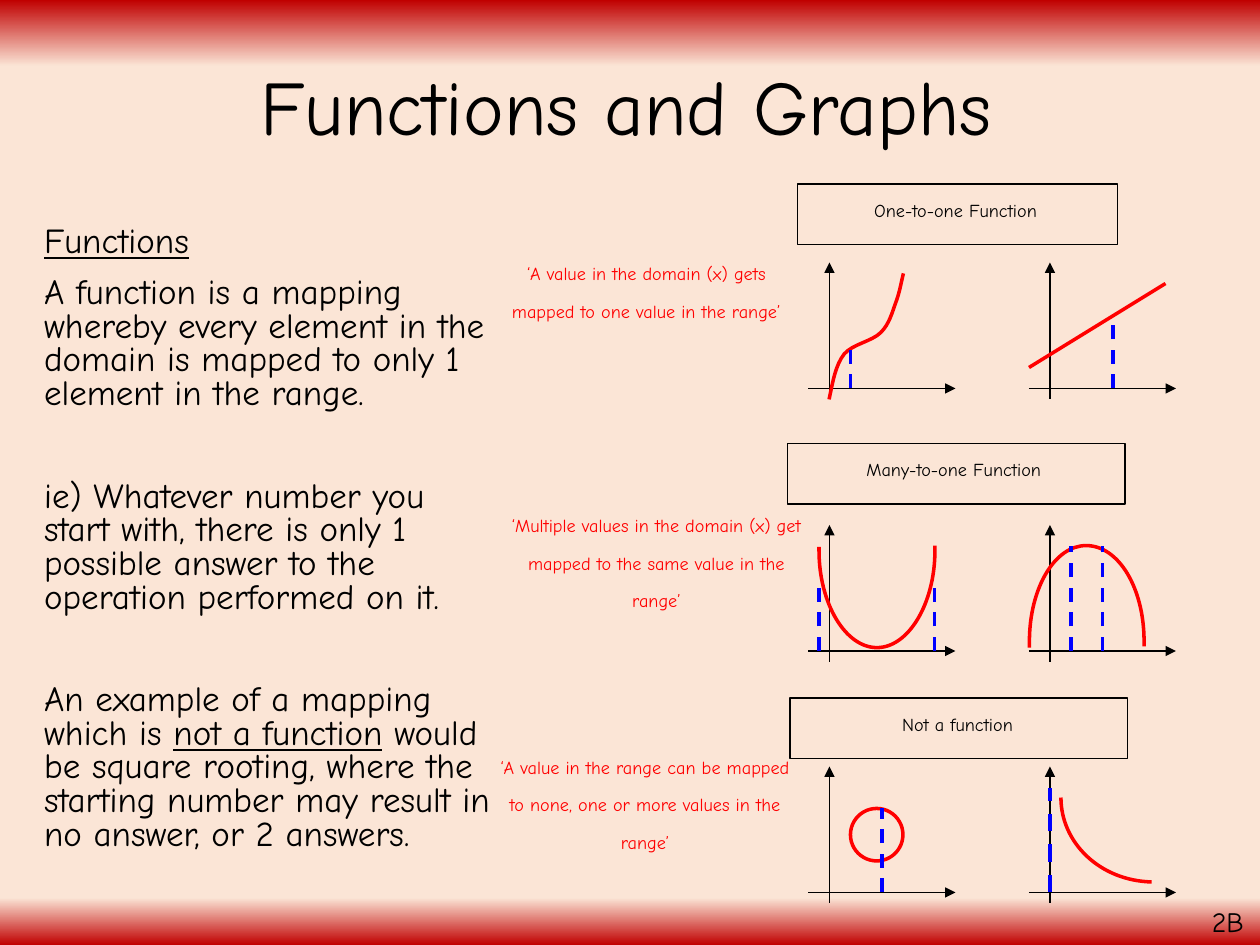
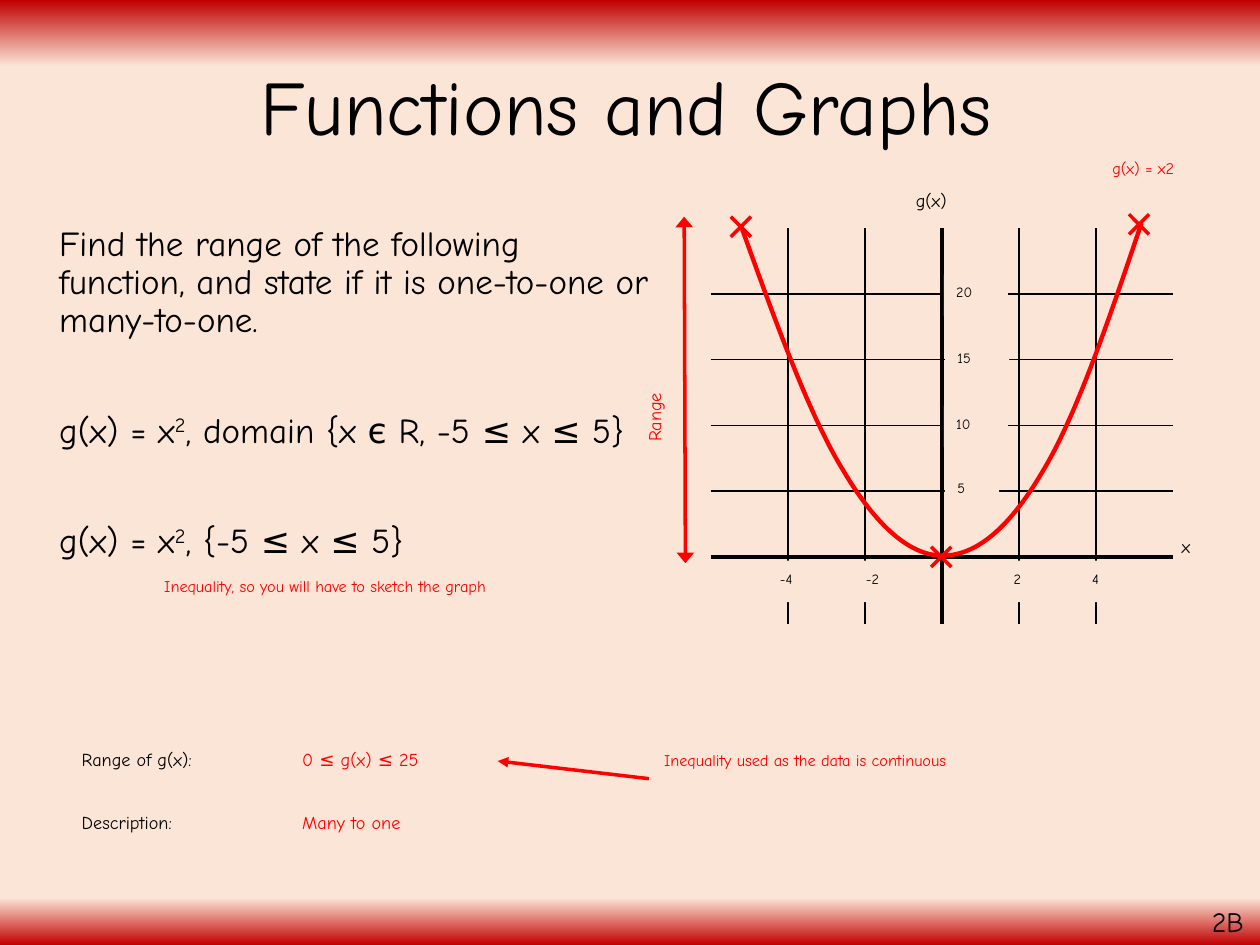
"""Build two lesson slides on functions, graphs and ranges."""
from lxml import etree
from pptx import Presentation
from pptx.dml.color import RGBColor
from pptx.enum import dml, shapes, text
from pptx.oxml.ns import qn
from pptx.util import Inches, Pt

HUE = {"ink": "000000", "red": "FF0000", "blue": "0000FF", "band": "C00000", "paper": "FBE5D6"}
FONT = "Comic Neue"
WIDE, HIGH = 10, 7.5
STOPS = [(0, "band"), (7, "paper"), (95, "paper"), (100, "band")]
MID, LEFT = text.PP_ALIGN.CENTER, text.PP_ALIGN.LEFT

# Each paragraph: space before in points, then runs of (words, style).
NOTES = [
    (10, [("Functions", "under")]),
    (10, [("A function is a mapping whereby every element in the domain is mapped "
           "to only 1 element in the range.", "")]),
    (39.4, [("ie) Whatever number you start with, there is only 1 possible answer "
             "to the operation performed on it.", "")]),
    (39.4, [("An example of a mapping which is ", ""), ("not a function", "under"),
            (" would be square rooting, where the starting number may result in "
             "no answer, or 2 answers.", "")]),
]
TASK = [
    (10, [("Find the range of the following function, and state if it is one-to-one "
           "or many-to-one.", "")]),
    (41.6, [("g(x) = x", ""), ("2", "super"), (", domain {x є R, -5 ≤ x ≤ 5}", "")]),
    (41.6, [("g(x) = x", ""), ("2", "super"), (", {-5 ≤ x ≤ 5}", "")]),
]

# Label, label box, frame box, remark, remark box.
KINDS = [
    ("One-to-one Function", (5.42, 1.5, 4.33, 0.4), (6.33, 1.46, 2.54, 0.48),
     "‘A value in the domain (x) gets mapped to one value in the range’", (3.92, 2, 2.42, 1.3)),
    ("Many-to-one Function", (6.11, 3.56, 2.92, 0.4), (6.25, 3.52, 2.68, 0.48),
     "‘Multiple values in the domain (x) get mapped to the same value in the range’",
     (3.92, 4, 2.58, 1.3)),
    ("Not a function", (6.14, 5.58, 2.92, 0.4), (6.27, 5.54, 2.68, 0.48),
     "‘A value in the range can be mapped to none, one or more values in the range’",
     (3.83, 5.92, 2.58, 1.3)),
]

# Small graphs sit on a grid of twelfths of an inch.
CELL = 1 / 12
COLS, ROWS = (100, 79), (37, 62, 85)
# Dashed tests: column, foot, top, width.
TESTS = [(106, 37, 30, 2), (81, 37, 33, 2), (89, 62, 55, 2), (78, 62, 56, 2),
         (105, 62, 52, 2), (102, 62, 52, 2), (84, 85, 77, 2), (100, 85, 75, 2.5)]

# Curves: a start point, then control points in threes.
CURVES = [
    [(7.42, 4.33), (7.42, 4.35), (7.42, 4.36), (7.42, 4.37), (7.42, 4.79), (7.21, 5.14),
     (6.96, 5.14), (6.71, 5.14), (6.5, 4.79), (6.5, 4.37), (6.5, 4.36), (6.5, 4.35),
     (6.5, 4.34)],
    [(6.58, 3.17), (6.61, 3.03), (6.63, 2.9), (6.7, 2.81), (6.77, 2.73), (6.92, 2.71),
     (6.99, 2.64), (7.06, 2.57), (7.08, 2.48), (7.11, 2.4), (7.14, 2.32), (7.15, 2.25),
     (7.17, 2.17)],
    [(9.14, 7), (8.73, 6.99), (8.42, 6.69), (8.42, 6.33)],
    [(8.17, 5.14), (8.17, 5.12), (8.17, 5.11), (8.17, 5.09), (8.17, 4.67), (8.37, 4.33),
     (8.62, 4.33), (8.88, 4.33), (9.08, 4.67), (9.08, 5.09), (9.08, 5.11), (9.08, 5.12),
     (9.08, 5.13)],
]
SQUARE = [(9.06, 1.77), (8.8, 2.54), (8.54, 3.31), (8.27, 3.75), (8.01, 4.19), (7.75, 4.41),
          (7.48, 4.41), (7.22, 4.41), (6.95, 4.17), (6.69, 3.73), (6.42, 3.29), (6.15, 2.54),
          (5.88, 1.79)]

GRID = {"left": 5.64, "right": 9.31, "top": 1.81, "base": 4.42, "foot": 4.95}
MARKS = [(7.47, 4.42), (5.88, 1.8), (9.04, 1.78)]
TICKS = [("2", 7.91, 4.45, 0.33, MID), ("4", 8.53, 4.45, 0.33, MID),
         ("-2", 6.68, 4.45, 0.49, MID), ("-4", 6.03, 4.45, 0.42, MID),
         ("5", 7.5, 3.73, 0.43, LEFT), ("10", 7.49, 3.22, 0.51, LEFT),
         ("15", 7.5, 2.7, 0.51, LEFT), ("20", 7.49, 2.18, 0.51, LEFT)]
# Words, box, size, colour, alignment, turn.
WORDS = [
    ("Range of g(x):", (0.55, 5.86, 1.83, 0.4), 18, "ink", LEFT, 0),
    ("0 ≤ g(x) ≤ 25", (2.3, 5.86, 2.1, 0.4), 18, "red", LEFT, 0),
    ("Description:", (0.55, 6.36, 1.83, 0.4), 18, "ink", LEFT, 0),
    ("Many to one", (2.3, 6.36, 1.86, 0.4), 18, "red", LEFT, 0),
    ("Inequality, so you will have to sketch the graph", (0.58, 4.5, 4, 0.64), 16, "red", MID, 0),
    ("g(x) = x2", (8.73, 1.18, 1.19, 0.37), 16, "red", LEFT, 0),
    ("x", (9.28, 4.17, 0.36, 0.4), 18, "ink", LEFT, 0),
    ("g(x)", (7.17, 1.42, 0.67, 0.4), 18, "ink", LEFT, 0),
    ("Inequality used as the data is continuous", (5.1, 5.88, 2.58, 0.64), 16, "red", MID, 0),
    ("Range", (4.73, 2.91, 0.99, 0.4), 18, "red", LEFT, 270),
]


def tint(name):
    return RGBColor.from_string(HUE[name])


def inch(vals):
    return [Inches(v) for v in vals]


def cells(*vals):
    return tuple(v * CELL for v in vals)


def write(slide, words, box, size=18, hue="ink", align=LEFT, style="super", gap=None,
          inset=0.1, turn=0, fill=None, anchor=text.MSO_ANCHOR.TOP):
    if fill:
        shape = slide.shapes.add_shape(shapes.MSO_SHAPE.RECTANGLE, *inch(box))
        shape.shadow.inherit = False
        shape.fill.solid()
        shape.fill.fore_color.rgb = tint(fill)
        shape.line.fill.background()
    else:
        shape = slide.shapes.add_textbox(*inch(box))
    shape.rotation = turn
    frame = shape.text_frame
    frame.word_wrap = True
    frame.margin_left = Inches(inset)
    frame.vertical_anchor = anchor
    paras = [(0, [(words, style)])] if isinstance(words, str) else words
    for i, (before, runs) in enumerate(paras):
        para = frame.add_paragraph() if i else frame.paragraphs[0]
        para.alignment = align
        para.space_before = Pt(before)
        if gap:
            para.line_spacing = gap
        for part, look in runs:
            run = para.add_run()
            run.text = part
            font = run.font
            font.name, font.size, font.color.rgb = FONT, Pt(size), tint(hue)
            if look == "under":
                font.underline = True
            if look == "super":
                run._r.get_or_add_rPr().set("baseline", "30000")


def rule(home, start, end, hue="ink", width=0.75, ends=(), dash=False, broad="med"):
    line = home.shapes.add_connector(shapes.MSO_CONNECTOR.STRAIGHT, *inch(start + end))
    line.line.color.rgb = tint(hue)
    line.line.width = Pt(width)
    if dash:
        line.line.dash_style = dml.MSO_LINE.DASH
    for tip in ends:
        etree.SubElement(line.line._get_or_add_ln(), qn("a:" + tip), type="triangle", w=broad)
    etree.SubElement(line._element.spPr, qn("a:effectLst"))


def edge(shape, hue, width):
    shape.shadow.inherit = False
    shape.fill.background()
    shape.line.color.rgb = tint(hue)
    shape.line.width = Pt(width)


def curve(slide, pts, width=2):
    ends = [inch(p) for p in pts]
    form = slide.shapes.build_freeform(*ends[0])
    form.add_line_segments(ends[1:], close=False)
    shape = form.convert_to_shape()
    edge(shape, "red", width)
    legs = list(shape._element.iter(qn("a:lnTo")))
    route = legs[0].getparent()
    for i in range(0, len(legs), 3):
        bend = etree.SubElement(route, qn("a:cubicBezTo"))
        for leg in legs[i:i + 3]:
            bend.append(leg[0])
            route.remove(leg)


def begin(deck):
    slide = deck.slides.add_slide(deck.slide_layouts[6])
    fill = slide.background.fill
    fill.gradient()
    fill.gradient_angle = 270
    stops = slide.element.find(".//" + qn("a:gsLst"))
    for stop in list(stops):
        stops.remove(stop)
    for at, hue in STOPS:
        stop = etree.SubElement(stops, qn("a:gs"), pos=str(at * 1000))
        etree.SubElement(stop, qn("a:srgbClr"), val=HUE[hue])
    return slide


def finish(slide):
    write(slide, "Functions and Graphs", (0.66, 0.15, 8.62, 1.45), size=44, align=MID,
          style="", gap=0.9, anchor=text.MSO_ANCHOR.MIDDLE)
    write(slide, "2B", (9.52, 7.13, 0.56, 0.37), size=16, style="")


def kinds(deck):
    slide = begin(deck)
    write(slide, NOTES, (0, 1.75, 4, 5.75), size=20, gap=0.8, inset=0.35)
    for label, spot, box, remark, place in KINDS:
        write(slide, label, spot, align=MID)
        edge(slide.shapes.add_shape(shapes.MSO_SHAPE.RECTANGLE, *inch(box)), "ink", 0.75)
    for y in ROWS:
        for x in COLS:
            axes = slide.shapes.add_group_shape()
            rule(axes, cells(x, y + 1), cells(x, y - 12), ends=["tailEnd"])
            rule(axes, cells(x - 2, y), cells(x + 12, y), ends=["tailEnd"])
    rule(slide, cells(98, 35), cells(111, 27), "red", 2)
    ring = slide.shapes.add_shape(shapes.MSO_SHAPE.OVAL, *inch(cells(81, 77, 5, 5)))
    edge(ring, "red", 2)
    for pts in CURVES:
        curve(slide, pts)
    for label, spot, box, remark, place in KINDS:
        write(slide, remark, place, hue="red", align=MID)
    for x, foot, top, width in TESTS:
        rule(slide, cells(x, foot), cells(x, top), "blue", width, dash=True)
    finish(slide)


def sketch(deck):
    slide = begin(deck)
    left, right, top, base, foot = GRID.values()
    write(slide, TASK, (0.12, 1.75, 5.19, 2.99), size=20, gap=0.9, inset=0.35)
    for i in range(1, 6):
        y = top + i * (base - top) / 5
        rule(slide, (left, y), (right, y), width=2.5 if i == 5 else 1)
    for i in range(1, 6):
        x = left + i * (right - left) / 6
        rule(slide, (x, top), (x, foot), width=2.5 if i == 3 else 1)
    for x, y in MARKS:
        cross = slide.shapes.add_group_shape()
        for lean in (-0.08, 0.08):
            rule(cross, (x - 0.08, y + lean), (x + 0.08, y - lean), "red", 2)
    for label, x, y, wide, align in TICKS:
        write(slide, label, (x, y, wide, 0.33), size=14, align=align, fill="paper")
    curve(slide, SQUARE, 2.5)
    for words, box, size, hue, align, turn in WORDS:
        write(slide, words, box, size=size, hue=hue, align=align, turn=turn)
    rule(slide, (5.43, 1.72), (5.44, 4.47), "red", 2, ["headEnd", "tailEnd"], broad="lg")
    rule(slide, (5.15, 6.18), (3.95, 6.04), "red", 2, ["tailEnd"])
    finish(slide)


def main():
    deck = Presentation()
    deck.slide_width, deck.slide_height = inch((WIDE, HIGH))
    kinds(deck)
    sketch(deck)
    deck.save("out.pptx")


if __name__ == "__main__":
    main()
